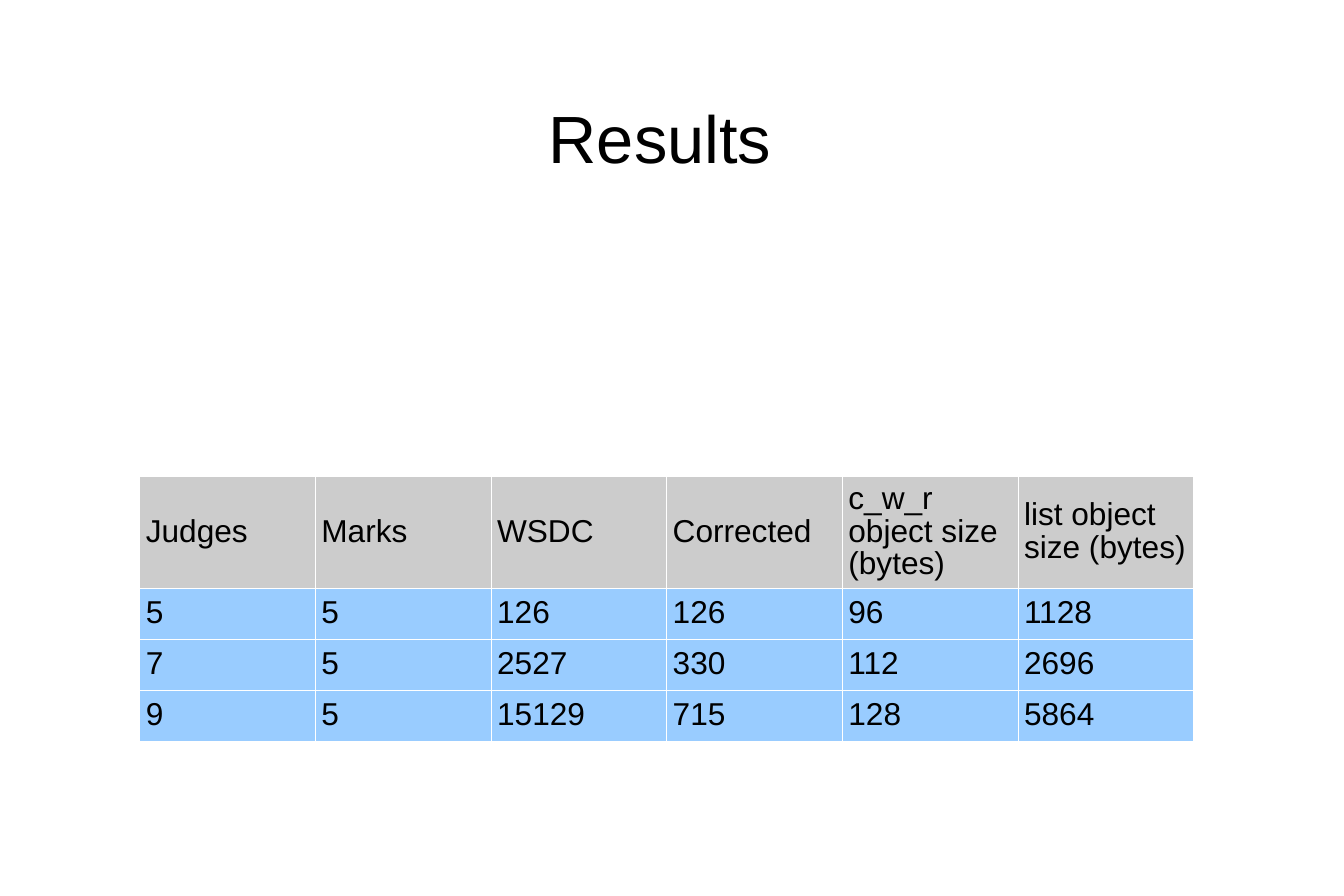
"""Build the results slide with its table of judges, marks and object sizes."""
from lxml import etree
from pptx import Presentation
from pptx.dml.color import RGBColor
from pptx.enum import text
from pptx.oxml import ns
from pptx.util import Pt

COLORS = {"text": "000000", "header": "CCCCCC", "body": "99CCFF", "border": "FFFFFF"}
FONT = "Arial"
RESULTS = [
    ["Judges", "Marks", "WSDC", "Corrected", "c_w_r object size (bytes)", "list object size (bytes)"],
    ["5", "5", "126", "126", "96", "1128"],
    ["7", "5", "2527", "330", "112", "2696"],
    ["9", "5", "15129", "715", "128", "5864"],
]


def style_paragraph(para, size):
    """Set the font, colour and line spacing of a paragraph."""
    para.font.name = FONT
    para.font.size = Pt(size)
    para.font.color.rgb = RGBColor.from_string(COLORS["text"])
    para.line_spacing = 0.93


def add_title(slide, wording):
    """Place and format the title placeholder."""
    title = slide.shapes.title
    title.left, title.top, title.width, title.height = Pt(54.8), Pt(46), Pt(642), Pt(69)
    frame = title.text_frame
    frame.margin_left = frame.margin_right = frame.margin_top = frame.margin_bottom = 0
    frame.vertical_anchor = text.MSO_ANCHOR.MIDDLE
    frame.auto_size = text.MSO_AUTO_SIZE.NONE
    frame.text = wording
    para = frame.paragraphs[0]
    para.alignment = text.PP_ALIGN.CENTER
    style_paragraph(para, 38)


def add_borders(cell):
    """Draw a thin line on all four sides of a cell."""
    properties = cell._tc.get_or_add_tcPr()
    for position, side in enumerate(("lnL", "lnR", "lnT", "lnB")):
        line = etree.Element(ns.qn(f"a:{side}"), w=str(Pt(0.25)))
        fill = etree.SubElement(line, ns.qn("a:solidFill"))
        etree.SubElement(fill, ns.qn("a:srgbClr"), val=COLORS["border"])
        properties.insert(position, line)


def format_cell(cell, wording, fill):
    """Write a cell's text and set its fill, margins and borders."""
    cell.text = wording
    cell.fill.solid()
    cell.fill.fore_color.rgb = RGBColor.from_string(COLORS[fill])
    cell.margin_left = cell.margin_right = cell.margin_top = cell.margin_bottom = Pt(3.6)
    cell.vertical_anchor = text.MSO_ANCHOR.MIDDLE
    para = cell.text_frame.paragraphs[0]
    para.space_before = Pt(4)
    style_paragraph(para, 18)
    add_borders(cell)


def add_table(slide, rows):
    """Add a table of equal rows and columns with a grey header."""
    table = slide.shapes.add_table(
        len(rows), len(rows[0]), Pt(79.4), Pt(271.2), Pt(600), Pt(116)
    ).table
    table.horz_banding = False
    for row_number, row in enumerate(rows):
        fill = "body" if row_number else "header"
        for column_number, wording in enumerate(row):
            format_cell(table.cell(row_number, column_number), wording, fill)


def main():
    """Create the deck and save it."""
    deck = Presentation()
    deck.slide_width, deck.slide_height = Pt(765), Pt(510)
    slide = deck.slides.add_slide(deck.slide_layouts[5])
    add_title(slide, "Results")
    add_table(slide, RESULTS)
    deck.save("out.pptx")


if __name__ == "__main__":
    main()
